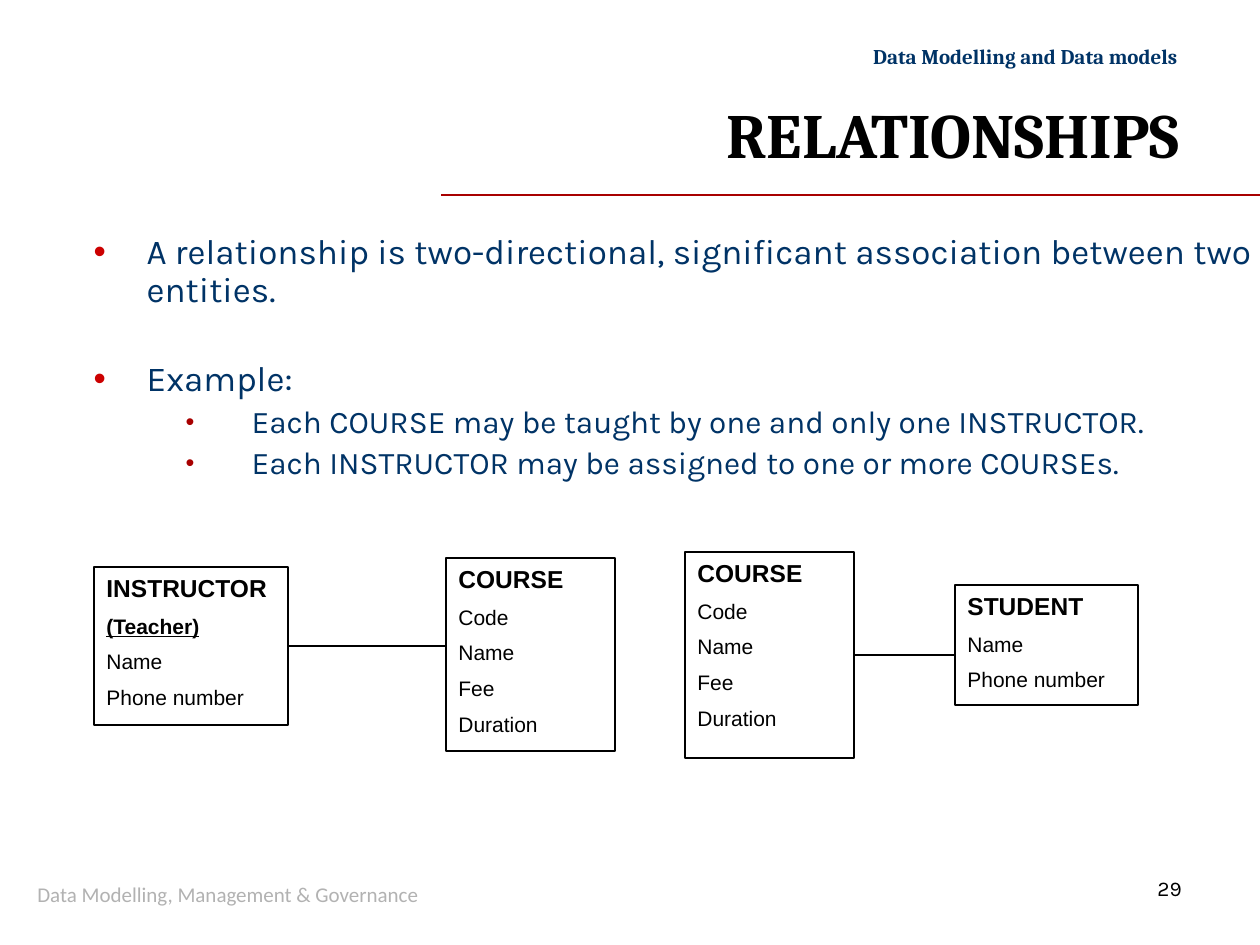
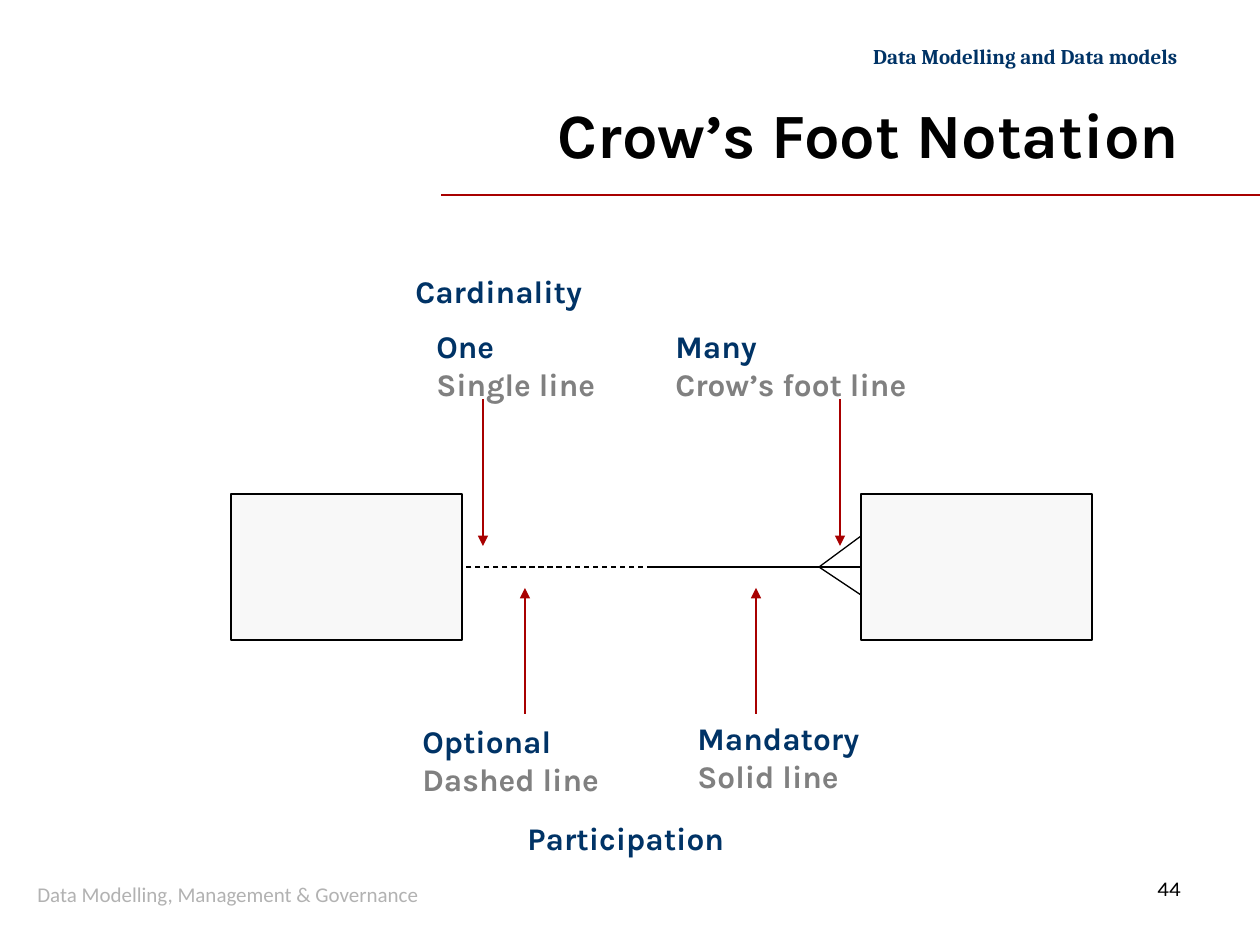
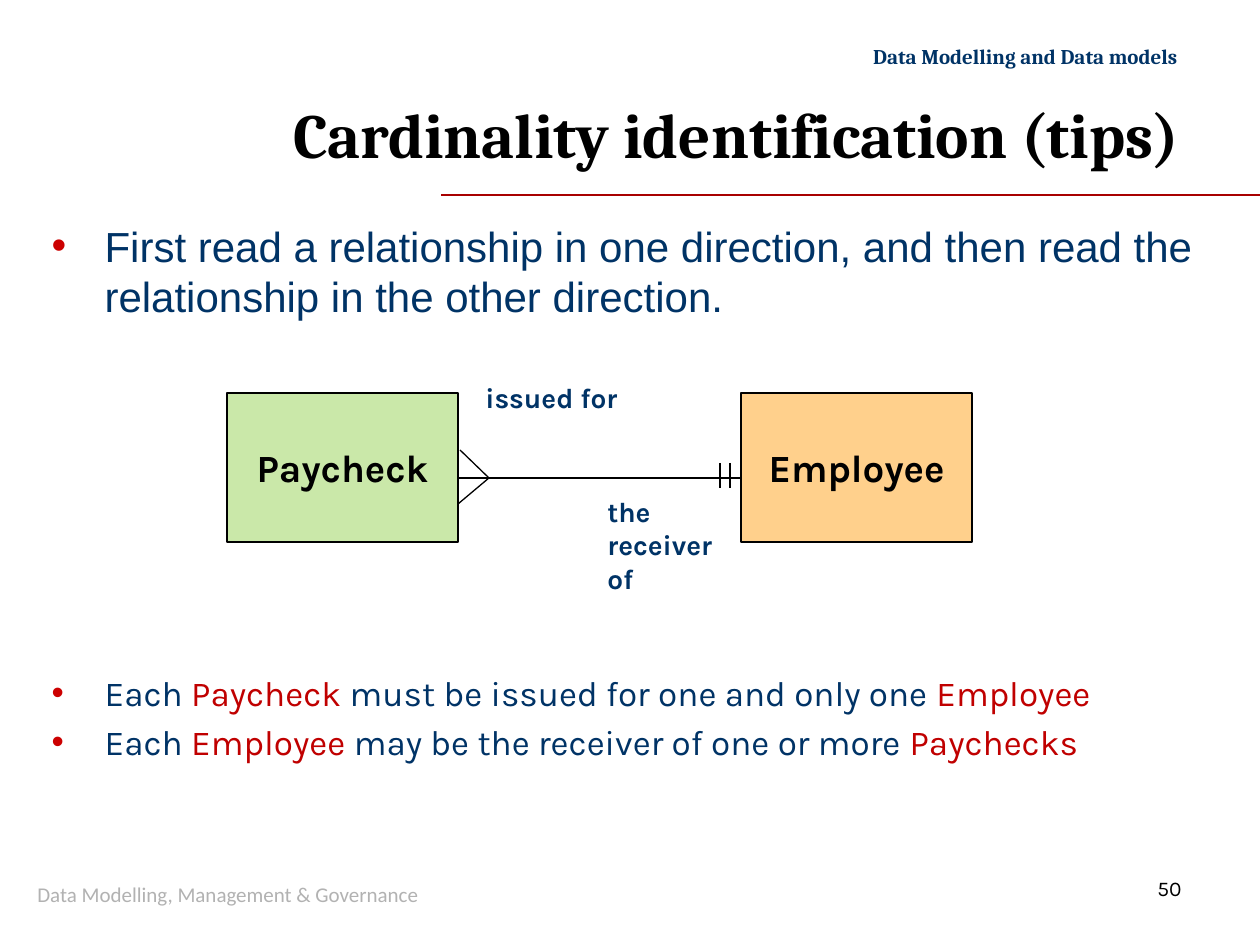
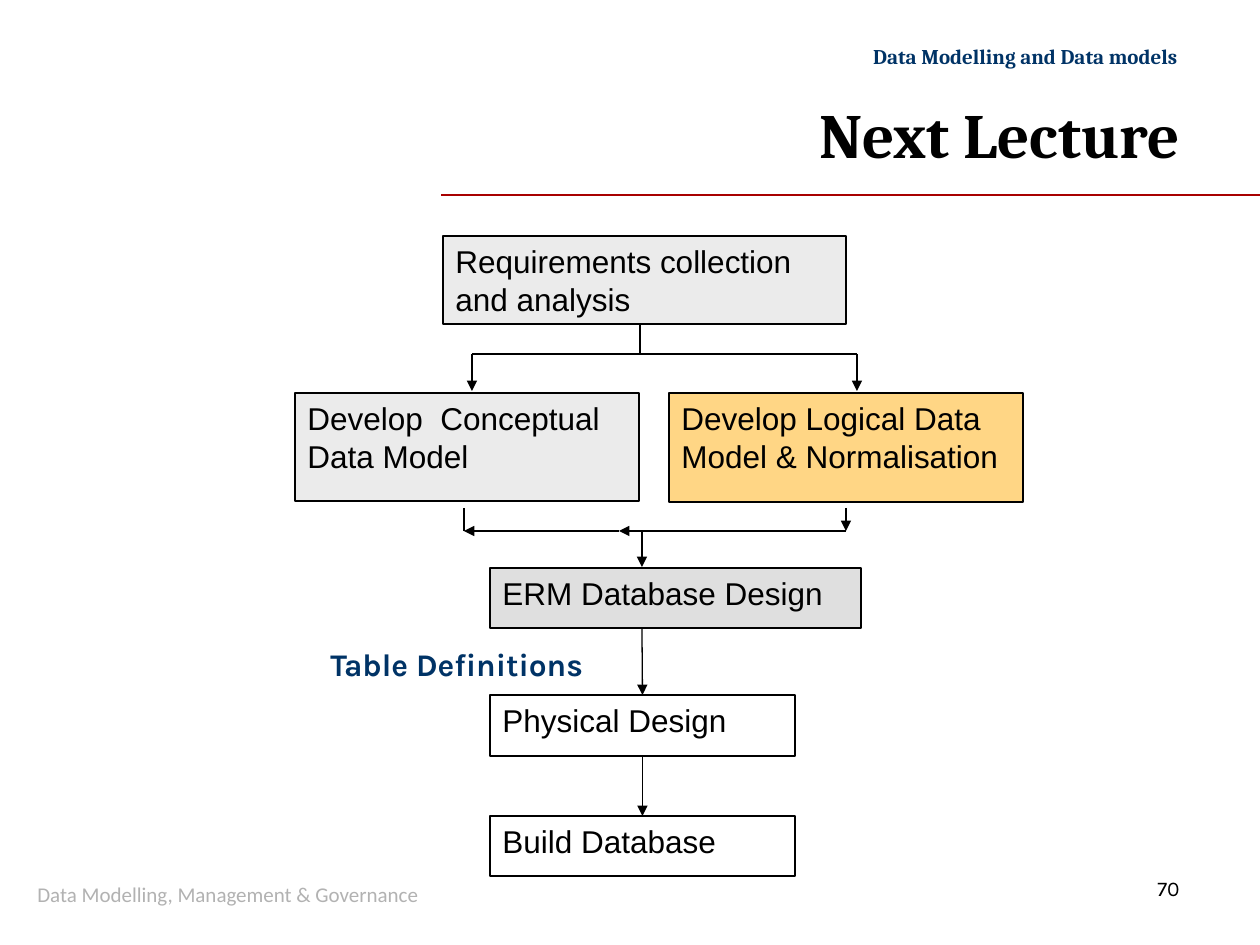
from lxml.etree import SubElement
from pptx import Presentation
from pptx.dml.color import RGBColor
from pptx.enum.dml import MSO_LINE_DASH_STYLE as Dash
from pptx.enum.shapes import MSO_CONNECTOR_TYPE as Connector, MSO_SHAPE as Shape
from pptx.enum.text import MSO_ANCHOR as Anchor, MSO_AUTO_SIZE as AutoSize, PP_ALIGN as Align
from pptx.oxml.ns import qn
from pptx.util import Emu, Pt

NAVY, RED, BLACK, GREY = "003366", "A80000", "000000", "808080"
BULLET_RED, WORD_RED = "CC0000", "C00000"

TITLE = {"name": "Cambria", "size": 36, "bold": True, "color": BLACK}
HEADER = {"name": "Cambria", "size": 12, "bold": True, "color": NAVY}
NUMBER = {"name": "Karla", "size": 12, "color": BLACK}
FOOTER = {"name": "Calibri", "size": 12, "color": "B2B2B2"}
BODY = {"name": "Karla", "size": 20, "color": NAVY}
LABEL = {"name": "Karla", "size": 18, "bold": True, "color": NAVY}
SMALL_LABEL = {**LABEL, "size": 16}
ENTITY = {"name": "Arial", "size": 12, "color": BLACK}
NAMED_BOX = {"name": "Karla", "size": 22, "bold": True, "color": BLACK}
STEP = {"name": "Arial", "size": 18, "color": BLACK}

LINE_KINDS = {
    "plain": {"color": BLACK},
    "dashed": {"color": BLACK, "dash": Dash.DASH},
    "arrow": {"color": BLACK, "arrow": True},
    "pointer": {"color": RED, "arrow": True},
}
BULLETS = [
    {"color": BULLET_RED, "left": 53, "hang": 53, "percent": 100},
    {"color": RED, "left": 158, "hang": 66, "percent": 80},
]
TIGHT = {"line_spacing": 0.9, "space_before": Pt(4)}


def entity(name, *fields):
    """Paragraphs of an entity box: a bold name above its fields."""
    heading = (name, {"size": 14, "bold": True}, {})
    gap = {"space_before": Pt(6)}
    return [heading] + [
        (field, {"bold": True, "underline": True} if field[0] == "(" else {}, gap) for field in fields
    ]


def pair(term, meaning):
    """Paragraphs of a notation label: a term above its grey meaning."""
    return [(term, {}, {}), (meaning, {"color": GREY}, {})]


def plain(*texts):
    """Paragraphs without formatting of their own."""
    return [(text, {}, {}) for text in texts]


COURSE = entity("COURSE", "Code", "Name", "Fee", "Duration")
PAGES = [
    {
        "title": "RELATIONSHIPS", "number": "29",
        "body_at": (81, 228, 1186, 645),
        "body": [
            ("A relationship is two-directional, significant association between two entities.", {}, TIGHT),
            ("Example:", {}, {**TIGHT, "space_before": Pt(29.5)}),
            ("Each COURSE may be taught by one and only one INSTRUCTOR.", {"size": 18}, {**TIGHT, "level": 1}),
            ("Each INSTRUCTOR may be assigned to one or more COURSEs.", {"size": 18}, {**TIGHT, "level": 1}),
        ],
        "box_style": ENTITY,
        "boxes": {
            "instructor": ((94, 567, 194, 158), "FFFFFF",
                           entity("INSTRUCTOR", "(Teacher)", "Name", "Phone number")),
            "taught course": ((446, 558, 169, 193), "FFFFFF", COURSE),
            "student": ((955, 585, 183, 120), "FFFFFF", entity("STUDENT", "Name", "Phone number")),
            "taken course": ((685, 552, 169, 206), "FFFFFF", COURSE),
        },
        "lines": [
            ((446, 646), ("instructor", 3), "plain"),
            ((955, 655), ("taken course", 3), "plain"),
        ],
    },
    {
        "title": "Crow’s Foot Notation", "number": "44", "title_font": "Karla",
        "boxes": {
            "one side": ((231, 494, 231, 146), "F8F8F8", []),
            "many side": ((861, 494, 231, 146), "F8F8F8", []),
        },
        "labels": [
            ((410, 716, 210, 88), pair("Optional", "Dashed line")),
            ((685, 713, 195, 88), pair("Mandatory", "Solid line")),
            ((424, 321, 190, 88), pair("One", "Single line")),
            ((663, 321, 275, 88), pair("Many", "Crow’s foot line")),
            ((403, 266, 493, 50), plain("Cardinality")),
            ((515, 813, 493, 50), plain("Participation")),
        ],
        "lines": [
            ((819, 567), (861, 536), "plain"),
            ((819, 567), (861, 595), "plain"),
            (("many side", 1), (651, 567), "plain"),
            ((661, 567), ("one side", 3), "dashed"),
            ((525, 714), (525, 588), "pointer"),
            ((756, 714), (756, 588), "pointer"),
            ((483, 399), (483, 546), "pointer"),
            ((840, 399), (840, 546), "pointer"),
        ],
    },
    {
        "title": "Cardinality identification (tips)", "number": "50",
        "body_at": (39, 214, 1201, 645),
        "body": [
            ("First read a relationship in one direction, and then read the relationship in the other direction.",
             {"name": "Arial", "size": 24}, {"space_before": Pt(5)}),
            ([("Each ", NAVY), ("Paycheck", WORD_RED), (" must be issued for one and only one ", NAVY),
              ("Employee", WORD_RED)], {}, {"space_before": Pt(200)}),
            ([("Each ", NAVY), ("Employee", WORD_RED), (" may be the receiver of one or more ", NAVY),
              ("Paychecks", WORD_RED)], {}, {"space_before": Pt(4)}),
        ],
        "box_style": NAMED_BOX, "box_anchor": Anchor.MIDDLE, "box_align": Align.CENTER,
        "boxes": {
            "paycheck": ((227, 393, 231, 149), "CAE8A9", plain("Paycheck")),
            "employee": ((741, 393, 231, 149), "FFD08C", plain("Employee")),
        },
        "label_style": SMALL_LABEL,
        "labels": [
            ((473, 374, 158, 81), plain("issued for")),
            ((595, 488, 158, 113), plain("the", "receiver", "of")),
        ],
        "lines": [
            ((741, 478), (458, 478), "plain"),
            ((489, 478), (460, 450), "plain"),
            ((489, 478), (458, 504), "plain"),
            ((730, 463), (730, 488), "plain"),
            ((720, 463), (720, 488), "plain"),
        ],
    },
    {
        "title": "Next Lecture", "number": "70",
        "box_style": STEP, "box_alpha": 50,
        "boxes": {
            "requirements": ((443, 236, 403, 88), "D9D9D9", plain("Requirements collection and analysis")),
            "conceptual": ((295, 393, 344, 108), "D9D9D9", plain("Develop  Conceptual Data Model")),
            "logical": ((669, 393, 354, 109), "FFAE0D", plain("Develop Logical Data Model & Normalisation")),
            "design": ((490, 568, 371, 60), "C0C0C0", plain("ERM Database Design")),
            "physical": ((490, 695, 305, 61), "FFFFFF", plain("Physical Design")),
            "build": ((490, 816, 305, 60), "FFFFFF", plain("Build Database")),
        },
        "labels": [((318, 639, 292, 50), plain("Table Definitions"))],
        "lines": [
            ((640, 324), (640, 354), "plain"),
            ((620, 354), (857, 354), "plain"),
            ((620, 354), (472, 354), "plain"),
            ((472, 354), (472, 391), "arrow"),
            ((857, 354), (857, 391), "arrow"),
            ((846, 531), (619, 531), "arrow"),
            ((619, 531), (464, 531), "arrow"),
            ((464, 508), (464, 531), "plain"),
            ((846, 508), (846, 531), "arrow"),
            ((642, 531), (642, 567), "arrow"),
            ((642, 628), ("physical", 0), "arrow"),
            (("physical", 2), ("build", 0), "arrow"),
        ],
    },
]


def px(length):
    """Turn px at 126 to the inch into EMU."""
    return Emu(round(length * 914400 / 126))


def rgb(color):
    """Turn a hex string into a colour."""
    return RGBColor.from_string(color)


def set_all(target, values):
    """Set each value as an attribute of the target."""
    for key, value in values.items():
        setattr(target, key, value)


def style_font(font, style):
    """Apply a text style to a font."""
    values = dict(style)
    font.color.rgb = rgb(values.pop("color"))
    set_all(font, {**values, "size": Pt(values["size"])})


def add_bullet(para):
    """Give a paragraph the bullet and indents of its level."""
    bullet = BULLETS[para.level]
    props = para._p.get_or_add_pPr()
    props.set("marL", str(px(bullet["left"])))
    props.set("indent", str(-px(bullet["hang"])))
    SubElement(SubElement(props, qn("a:buClr")), qn("a:srgbClr"), val=bullet["color"])
    SubElement(props, qn("a:buSzPct"), val=str(bullet["percent"] * 1000))
    SubElement(props, qn("a:buChar"), char="•")


def write(frame, paras, style, anchor=Anchor.TOP, align=Align.LEFT, bullets=False):
    """Fill a text frame with (text or coloured parts, style changes, paragraph format)."""
    set_all(frame, {"word_wrap": True, "auto_size": AutoSize.NONE, "vertical_anchor": anchor})
    for index, (content, changes, layout) in enumerate(paras):
        para = frame.add_paragraph() if index else frame.paragraphs[0]
        set_all(para, {"alignment": align, **layout})
        if bullets:
            add_bullet(para)
        look = {**style, **changes}
        parts = [(content, look["color"])] if isinstance(content, str) else content
        for text, color in parts:
            span = para.add_run()
            span.text = text
            style_font(span.font, {**look, "color": color})


def place(shape, at):
    """Move and size a shape to a px rectangle."""
    set_all(shape, dict(zip(("left", "top", "width", "height"), map(px, at))))


def add_label(page, at, paras, style, **layout):
    """Add a text box."""
    write(page.shapes.add_textbox(*map(px, at)).text_frame, paras, style, **layout)


def add_box(page, at, fill, paras, style, alpha, **layout):
    """Add an outlined rectangle, see-through where alpha is given."""
    box = page.shapes.add_shape(Shape.RECTANGLE, *map(px, at))
    box.shadow.inherit = False
    box.fill.solid()
    box.fill.fore_color.rgb = rgb(fill)
    if alpha:
        color = box.fill._xPr.find(qn("a:solidFill")).find(qn("a:srgbClr"))
        SubElement(color, qn("a:alpha"), val=str(alpha * 1000))
    box.line.color.rgb = rgb(BLACK)
    box.line.width = Pt(0.75)
    write(box.text_frame, paras, style, **layout)
    return box


def add_line(page, start, end, kind, boxes):
    """Add a line between points or (box, side) joins."""
    look = LINE_KINDS[kind]
    joins = [isinstance(stop[0], str) for stop in (start, end)]
    points = [(0, 0) if joined else stop for joined, stop in zip(joins, (start, end))]
    line = page.shapes.add_connector(Connector.STRAIGHT, *(px(value) for point in points for value in point))
    line.line.color.rgb = rgb(look["color"])
    line.line.width = Pt(0.75)
    if "dash" in look:
        line.line.dash_style = look["dash"]
    if "arrow" in look:
        SubElement(line.line._get_or_add_ln(), qn("a:tailEnd"), type="triangle")
    SubElement(line._element.spPr, qn("a:effectLst"))
    for joined, stop, connect in zip(joins, (start, end), (line.begin_connect, line.end_connect)):
        if joined:
            connect(boxes[stop[0]], stop[1])


def add_frame(page, content):
    """Add the title, rule, header, number and footer that every page has."""
    title = page.shapes.title
    place(title, (226, 86, 966, 94))
    style = {**TITLE, "name": content.get("title_font", TITLE["name"])}
    write(title.text_frame, plain(content["title"]), style, anchor=Anchor.MIDDLE, align=Align.RIGHT)
    add_line(page, (441, 195), (1260, 195), "plain", {})
    page.shapes[-1].line.color.rgb = rgb(RED)
    add_label(page, (850, 37, 340, 38), plain("Data Modelling and Data models"), HEADER, align=Align.RIGHT)
    add_label(page, (1145, 869, 79, 38), plain(content["number"]), NUMBER)
    add_label(page, (25, 869, 556, 50), plain("Data Modelling, Management & Governance"), FOOTER,
              anchor=Anchor.MIDDLE)


def add_page(deck, content):
    """Build one page from its content."""
    page = deck.slides.add_slide(deck.slide_layouts[1 if "body" in content else 5])
    add_frame(page, content)
    if "body" in content:
        body = page.placeholders[1]
        place(body, content["body_at"])
        write(body.text_frame, content["body"], BODY, bullets=True)
    layout = {"anchor": content.get("box_anchor", Anchor.TOP), "align": content.get("box_align", Align.LEFT)}
    boxes = {
        name: add_box(page, *spec, content.get("box_style", STEP), content.get("box_alpha"), **layout)
        for name, spec in content["boxes"].items()
    }
    for at, paras in content.get("labels", []):
        add_label(page, at, paras, content.get("label_style", LABEL))
    for start, end, kind in content["lines"]:
        add_line(page, start, end, kind, boxes)


def main():
    """Build and save the deck."""
    deck = Presentation()
    deck.slide_width, deck.slide_height = px(1260), px(945)
    for content in PAGES:
        add_page(deck, content)
    deck.save("out.pptx")


if __name__ == "__main__":
    main()
